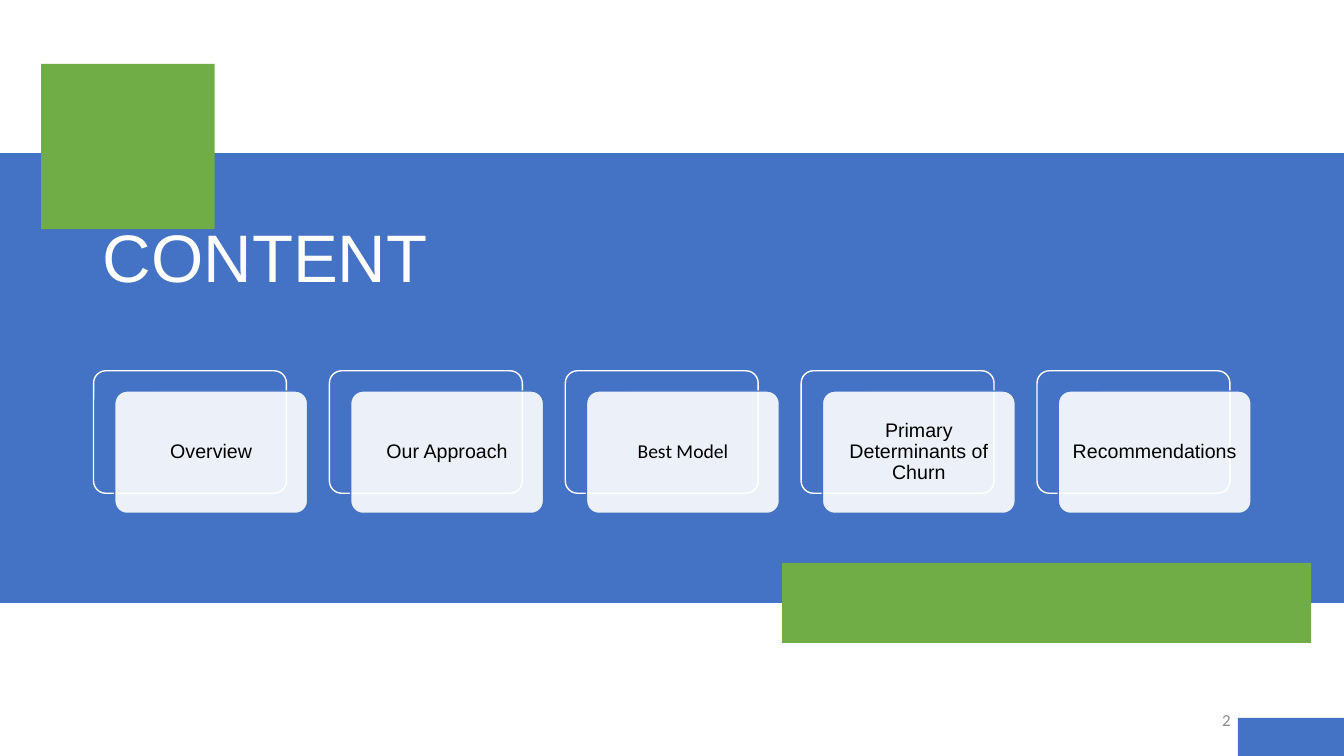
"""Build the content slide with its five topic cards."""

import dataclasses
import typing

import lxml.etree
import pptx
import pptx.dml.color
import pptx.enum.shapes
import pptx.enum.text
import pptx.oxml.ns
import pptx.util

RGBColor = pptx.dml.color.RGBColor
Shapes = pptx.enum.shapes.MSO_SHAPE
Align = pptx.enum.text.PP_ALIGN
Anchor = pptx.enum.text.MSO_ANCHOR

BLUE = RGBColor(0x44, 0x72, 0xC4)
GREEN = RGBColor(0x70, 0xAD, 0x47)
WHITE = RGBColor(0xFF, 0xFF, 0xFF)
BLACK = RGBColor(0x00, 0x00, 0x00)
GRAY = RGBColor(0x8C, 0x8C, 0x8C)

SLIDE_WIDTH = pptx.util.Inches(13.33)
SLIDE_HEIGHT = pptx.util.Inches(7.5)
CARD_PITCH = 17.55
CARD_SHIFT_X, CARD_SHIFT_Y = 1.58, 2.67
CARD_OPACITY = 90


@dataclasses.dataclass(frozen=True)
class Box:
    """A rectangle in percent of the slide's width and height."""

    left: float
    top: float
    width: float
    height: float

    def shifted(self, right: float, down: float = 0) -> "Box":
        """Return the same box moved right and down."""
        return dataclasses.replace(self, left=self.left + right, top=self.top + down)

    def lengths(self) -> tuple[int, int, int, int]:
        """Return left, top, width and height as slide lengths."""
        return (
            round(self.left * SLIDE_WIDTH / 100),
            round(self.top * SLIDE_HEIGHT / 100),
            round(self.width * SLIDE_WIDTH / 100),
            round(self.height * SLIDE_HEIGHT / 100),
        )


@dataclasses.dataclass(frozen=True)
class Panel:
    """A plain coloured rectangle."""

    box: Box
    color: RGBColor


@dataclasses.dataclass(frozen=True)
class Topic:
    """The label of one card and its font."""

    label: str
    font: str = "Arial"


PANELS = (
    Panel(Box(92.1, 94.95, 7.9, 5.05), BLUE),
    Panel(Box(0, 20.27, 100, 59.47), BLUE),
    Panel(Box(3.07, 8.45, 12.9, 21.87), GREEN),
    Panel(Box(58.2, 74.45, 39.35, 10.6), GREEN),
)
TITLE_BOX = Box(6.9, 22.4, 86.25, 17.6)
NUMBER_BOX = Box(69.8, 92.67, 22.5, 5.33)
FIRST_CARD = Box(6.96, 49.05, 14.35, 16.2)
TOPICS = (
    Topic("Overview"),
    Topic("Our Approach"),
    Topic("Best Model", "Calibri"),
    Topic("Primary Determinants of Churn"),
    Topic("Recommendations"),
)


def write_text(shape: typing.Any, text: str, font: str, size: float,
               color: RGBColor, align: Align, anchor: Anchor) -> None:
    """Put one formatted paragraph into a shape."""
    frame = shape.text_frame
    frame.text = text
    frame.word_wrap = True
    frame.auto_size = pptx.enum.text.MSO_AUTO_SIZE.NONE
    frame.vertical_anchor = anchor
    paragraph = frame.paragraphs[0]
    paragraph.alignment = align
    paragraph.line_spacing = 0.9
    run_font = paragraph.runs[0].font
    run_font.name = font
    run_font.size = pptx.util.Pt(size)
    run_font.color.rgb = color


def add_filled(slide: typing.Any, kind: Shapes, box: Box, fill: RGBColor,
               line: RGBColor | None = None) -> typing.Any:
    """Add a filled shape, outlined if a line colour is given."""
    shape = slide.shapes.add_shape(kind, *box.lengths())
    shape.shadow.inherit = False
    shape.fill.solid()
    shape.fill.fore_color.rgb = fill
    if line is None:
        shape.line.fill.background()
    else:
        shape.line.color.rgb = line
        shape.line.width = pptx.util.Pt(1)
    return shape


def add_card(slide: typing.Any, topic: Topic, box: Box) -> None:
    """Add an outlined card with a translucent labelled card over it."""
    front_box = box.shifted(CARD_SHIFT_X, CARD_SHIFT_Y)
    back = add_filled(slide, Shapes.ROUNDED_RECTANGLE, box, BLUE, WHITE)
    front = add_filled(slide, Shapes.ROUNDED_RECTANGLE, front_box, WHITE, BLUE)
    for shape in (back, front):
        shape.adjustments[0] = 0.1
    qualified = pptx.oxml.ns.qn
    color = front.element.spPr.find(qualified("a:solidFill")).find(qualified("a:srgbClr"))
    lxml.etree.SubElement(color, qualified("a:alpha"), val=str(CARD_OPACITY * 1000))
    write_text(front, topic.label, topic.font, 14, BLACK, Align.CENTER, Anchor.MIDDLE)
    frame = front.text_frame
    frame.margin_left = frame.margin_right = pptx.util.Inches(0.06)
    frame.margin_top = frame.margin_bottom = pptx.util.Inches(0.06)


def add_title(slide: typing.Any) -> None:
    """Fill the title placeholder and bring it in front of the panels."""
    title = slide.shapes.title
    title.left, title.top, title.width, title.height = TITLE_BOX.lengths()
    write_text(title, "CONTENT", "Arial", 48, WHITE, Align.LEFT, Anchor.BOTTOM)
    title.element.getparent().append(title.element)


def main() -> None:
    """Build and save the presentation."""
    presentation = pptx.Presentation()
    presentation.slide_width = SLIDE_WIDTH
    presentation.slide_height = SLIDE_HEIGHT
    slide = presentation.slides.add_slide(presentation.slide_layouts.get_by_name("Title Only"))
    for panel in PANELS:
        add_filled(slide, Shapes.RECTANGLE, panel.box, panel.color)
    add_title(slide)
    number = slide.shapes.add_textbox(*NUMBER_BOX.lengths())
    write_text(number, "2", "Calibri", 12, GRAY, Align.RIGHT, Anchor.MIDDLE)
    for index, topic in enumerate(TOPICS):
        add_card(slide, topic, FIRST_CARD.shifted(index * CARD_PITCH))
    presentation.save("out.pptx")


if __name__ == "__main__":
    main()
